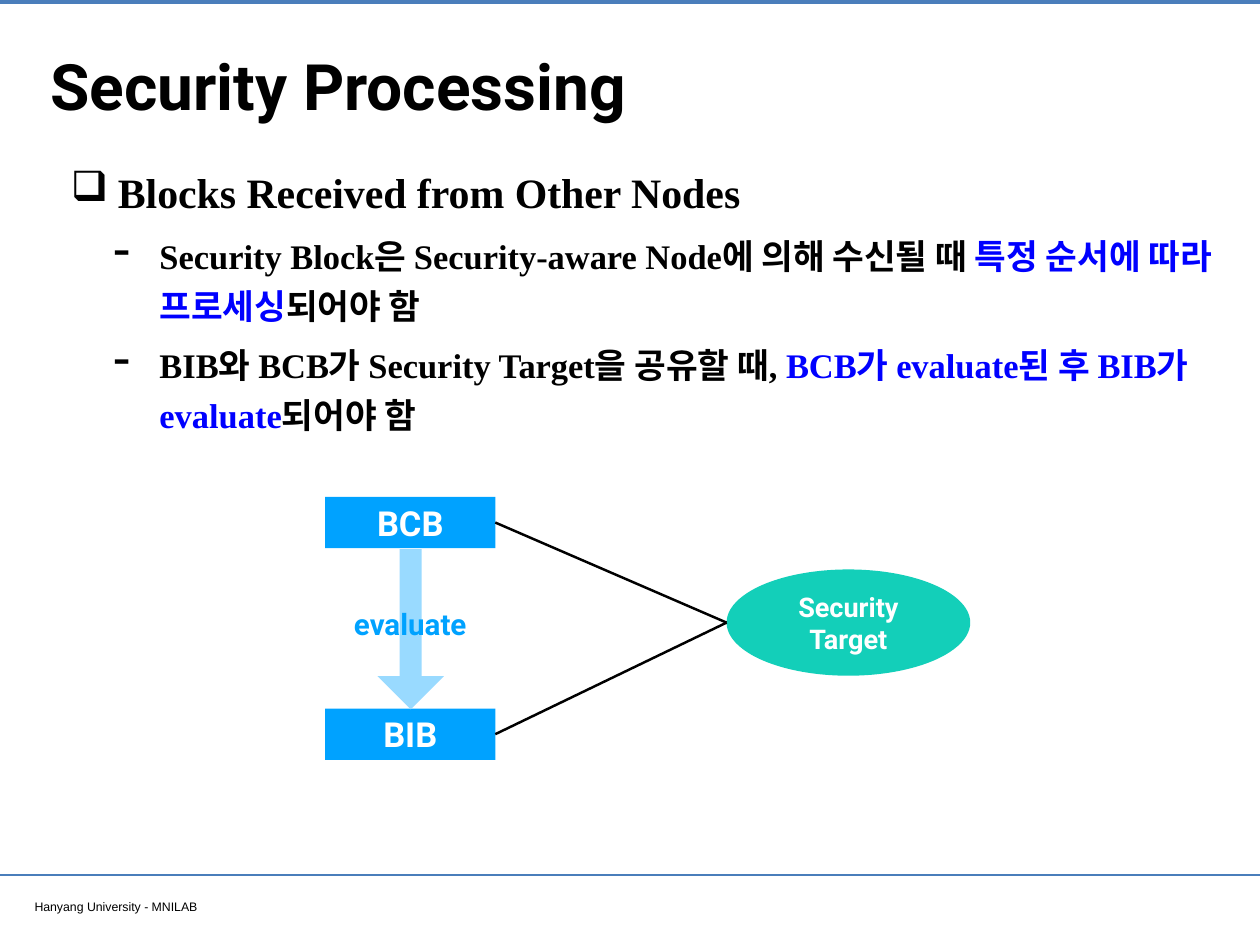
"""Build the Security Processing slide."""
from dataclasses import dataclass
from typing import Optional

from lxml.etree import SubElement
from pptx import Presentation
from pptx.dml.color import RGBColor
from pptx.enum.shapes import MSO_CONNECTOR as Connector, MSO_SHAPE as Preset
from pptx.enum.text import MSO_ANCHOR as Anchor, PP_ALIGN as Align
from pptx.oxml.ns import qn
from pptx.shapes.autoshape import Shape
from pptx.shapes.connector import Connector as Line
from pptx.shapes.shapetree import SlideShapes
from pptx.text.text import Font, TextFrame, _Paragraph as Paragraph
from pptx.util import Emu, Pt

COLORS = {"black": "000000", "white": "FFFFFF", "rule": "4A7EBB", "emphasis": "0000FF",
          "block": "00A2FF", "target": "13CFB9", "arrow": "99DAFF"}
SLIDE_WIDTH, SLIDE_HEIGHT = 1422, 1067


@dataclass(frozen=True)
class Box:
    left: int
    top: int
    width: int
    height: int

    def emu(self) -> tuple[Emu, ...]:
        return tuple(px(value) for value in (self.left, self.top, self.width, self.height))


@dataclass(frozen=True)
class Style:
    size: int
    color: str = "black"
    font: str = "Roboto"
    bold: bool = True


@dataclass(frozen=True)
class Label:
    text: str
    box: Box
    style: Style
    align: Align = Align.LEFT
    anchor: Anchor = Anchor.MIDDLE
    wrap: bool = True


@dataclass(frozen=True)
class Node:
    preset: Preset
    box: Box
    fill: str
    text: str = ""
    size: int = 28


@dataclass(frozen=True)
class Bullet:
    runs: tuple[tuple[str, str], ...]
    size: int = 28
    mark: str = "-"
    mark_percent: int = 145
    level: int = 1
    indent: int = 100
    hanging: int = 52
    space_before: int = 8


LABELS = (
    Label("Hanyang University - MNILAB", Box(33, 1009, 546, 26),
          Style(10, font="Arial", bold=False), anchor=Anchor.TOP),
    Label("Security Processing", Box(51, 28, 1321, 135), Style(52)),
)
EVALUATE = Label("evaluate", Box(390, 678, 146, 52), Style(24, "block"), Align.CENTER, wrap=False)
BODY_BOX = Box(74, 171, 1335, 341)
BULLETS = (
    Bullet((("Blocks Received from Other Nodes", "black"),), 34, "❑", 100, 0, 53, 53, 0),
    Bullet((("Security Block은 Security-aware Node에 의해 수신될 때 ", "black"),
            ("특정 순서에 따라 프로세싱", "emphasis"), ("되어야 함", "black"))),
    Bullet((("BIB와 BCB가 Security Target을 공유할 때, ", "black"),
            ("BCB가 evaluate된 후 BIB가 evaluate", "emphasis"), ("되어야 함", "black"))),
)
BLOCKS = tuple(Node(Preset.RECTANGLE, Box(367, top, 192, 58), "block", text)
               for text, top in (("BIB", 800), ("BCB", 561)))
TARGET = Node(Preset.OVAL, Box(820, 643, 275, 120), "target", "Security\nTarget", 22)
ARROW = Node(Preset.DOWN_ARROW, Box(426, 620, 75, 181), "arrow")


def px(value: int) -> Emu:
    return Emu(value * 9144)


def rgb(name: str) -> RGBColor:
    return RGBColor.from_string(COLORS[name])


def style_font(font: Font, style: Style) -> None:
    font.name, font.size, font.bold = style.font, Pt(style.size), style.bold
    font.color.rgb = rgb(style.color)


def prepare_frame(frame: TextFrame, anchor: Anchor, wrap: bool = True) -> None:
    frame.margin_left = frame.margin_right = frame.margin_top = frame.margin_bottom = px(6)
    frame.vertical_anchor, frame.word_wrap = anchor, wrap


def write_text(frame: TextFrame, text: str, style: Style, align: Align) -> None:
    frame.text = text
    for paragraph in frame.paragraphs:
        paragraph.alignment = align
        for run in paragraph.runs:
            style_font(run.font, style)


def add_label(shapes: SlideShapes, label: Label) -> None:
    frame = shapes.add_textbox(*label.box.emu()).text_frame
    prepare_frame(frame, label.anchor, label.wrap)
    write_text(frame, label.text, label.style, label.align)


def add_node(shapes: SlideShapes, node: Node) -> Shape:
    shape = shapes.add_shape(node.preset, *node.box.emu())
    shape.shadow.inherit = False
    shape.fill.solid()
    shape.fill.fore_color.rgb = rgb(node.fill)
    shape.line.fill.background()
    if node.text:
        prepare_frame(shape.text_frame, Anchor.MIDDLE)
        write_text(shape.text_frame, node.text, Style(node.size, "white"), Align.CENTER)
    return shape


def add_line(shapes: SlideShapes, start: tuple[int, int], end: tuple[int, int],
             color: str, width: float, source: Optional[Shape] = None) -> Line:
    line = shapes.add_connector(Connector.STRAIGHT, *map(px, start + end))
    line.line.color.rgb, line.line.width = rgb(color), Pt(width)
    SubElement(line._element.spPr, qn("a:effectLst"))
    if source is not None:
        line.begin_connect(source, 3)
    return line


def write_bullet(paragraph: Paragraph, bullet: Bullet) -> None:
    properties = paragraph._p.get_or_add_pPr()
    properties.set("marL", str(px(bullet.indent)))
    properties.set("indent", str(-px(bullet.hanging)))
    SubElement(properties, qn("a:buSzPct"), val=str(bullet.mark_percent * 1000))
    SubElement(properties, qn("a:buChar"), char=bullet.mark)
    paragraph.level, paragraph.line_spacing = bullet.level, 1.2
    paragraph.space_before = Pt(bullet.space_before)
    for text, color in bullet.runs:
        run = paragraph.add_run()
        run.text = text
        style_font(run.font, Style(bullet.size, color, "Times New Roman"))


def add_body(shapes: SlideShapes) -> None:
    frame = shapes.add_textbox(*BODY_BOX.emu()).text_frame
    prepare_frame(frame, Anchor.TOP)
    for index, bullet in enumerate(BULLETS):
        write_bullet(frame.add_paragraph() if index else frame.paragraphs[0], bullet)


def main() -> None:
    presentation = Presentation()
    presentation.slide_width, presentation.slide_height = px(SLIDE_WIDTH), px(SLIDE_HEIGHT)
    shapes = presentation.slides.add_slide(presentation.slide_layouts[6]).shapes
    for top, width in ((2, 3.2), (988, 2)):
        add_line(shapes, (0, top), (SLIDE_WIDTH, top), "rule", width)
    for label in LABELS:
        add_label(shapes, label)
    add_body(shapes)
    blocks = [add_node(shapes, node) for node in BLOCKS]
    add_node(shapes, TARGET)
    add_node(shapes, ARROW).adjustments[0] = 0.33
    target_side = (TARGET.box.left, TARGET.box.top + TARGET.box.height // 2)
    for node, block in zip(BLOCKS, blocks):
        block_side = (node.box.left + node.box.width, node.box.top + node.box.height // 2)
        add_line(shapes, block_side, target_side, "black", 2, block)
    add_label(shapes, EVALUATE)
    presentation.save("out.pptx")


if __name__ == "__main__":
    main()
